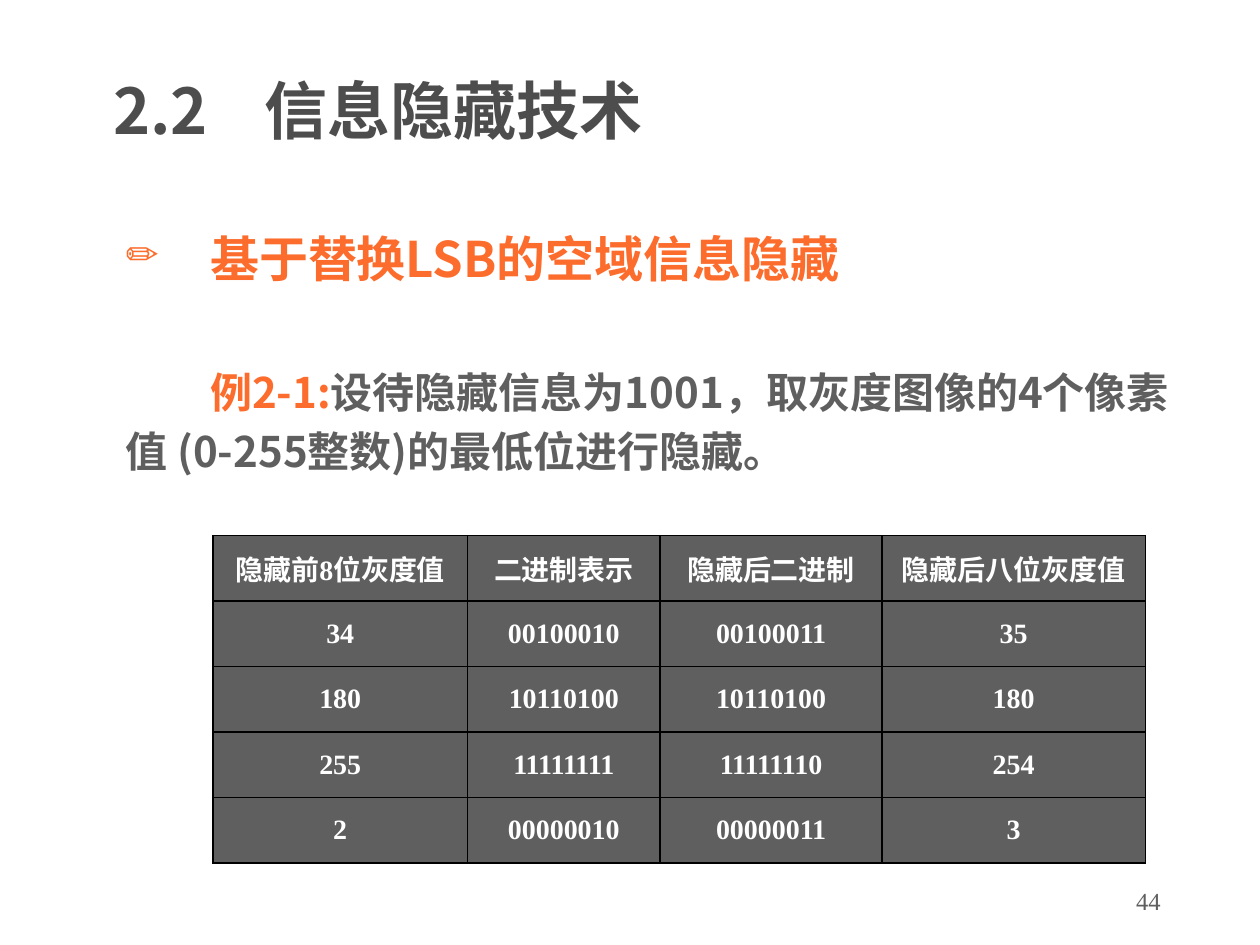
from dataclasses import dataclass

from lxml import etree
from pptx import Presentation
from pptx.dml.color import RGBColor
from pptx.enum.text import MSO_ANCHOR, PP_ALIGN
from pptx.oxml.ns import qn
from pptx.util import Inches, Pt

MIDDLE = MSO_ANCHOR.MIDDLE
CENTER = PP_ALIGN.CENTER
RIGHT = PP_ALIGN.RIGHT

SANS = "Noto Sans CJK SC"
SERIF = "Times New Roman"
ORANGE = "FC6C2C"
GRAY = "5F5F5F"
DARK = "4D4D4D"
WHITE = "FFFFFF"
BLACK = "000000"


@dataclass
class Style:
    size: float
    color: str
    face: str = SANS
    bold: bool = True


@dataclass
class Box:
    left: float
    top: float
    width: float
    height: float


HEADS = ["隐藏前8位灰度值", "二进制表示", "隐藏后二进制", "隐藏后八位灰度值"]
PIXELS = [(34, 35), (180, 180), (255, 254), (2, 3)]
WIDTHS = [2.02, 1.53, 1.76, 2.09]
ROW = 0.52


def paint(hue: str) -> RGBColor:
    return RGBColor.from_string(hue)


def add_tag(host, tag: str, **attrs: str):
    return etree.SubElement(host, qn(tag), attrs)


def format_run(run, style: Style) -> None:
    font = run.font
    font.size = Pt(style.size)
    font.bold = style.bold
    font.color.rgb = paint(style.color)
    font.name = style.face
    add_tag(run.font._element, "a:ea", typeface=SANS)


def add_run(para, text: str, style: Style) -> None:
    run = para.add_run()
    run.text = text
    format_run(run, style)


def add_box(slide, box: Box):
    shape = slide.shapes.add_textbox(
        Inches(box.left), Inches(box.top), Inches(box.width), Inches(box.height))
    shape.text_frame.word_wrap = True
    return shape.text_frame


def set_indent(para, left: float, first: float):
    props = para._p.get_or_add_pPr()
    props.set("marL", str(Inches(left)))
    props.set("indent", str(Inches(first)))
    return props


def add_title(slide) -> None:
    frame = add_box(slide, Box(0.8, 0.4, 8.52, 0.94))
    frame.vertical_anchor = MIDDLE
    para = frame.paragraphs[0]
    tabs = add_tag(para._p.get_or_add_pPr(), "a:tabLst")
    add_tag(tabs, "a:tab", pos=str(Inches(1.2)), algn="l")
    add_run(para, "2.2\t信息隐藏技术", Style(36, DARK))


def add_body(slide) -> None:
    frame = add_box(slide, Box(0.9, 1.82, 8.5, 2.4))
    topic = frame.paragraphs[0]
    props = set_indent(topic, 0.67, -0.67)
    hue = add_tag(props, "a:buClr")
    add_tag(hue, "a:srgbClr", val=ORANGE)
    add_tag(props, "a:buSzPct", val="80000")
    add_tag(props, "a:buChar", char="✏")
    topic.line_spacing = 0.9
    add_run(topic, "基于替换LSB的空域信息隐藏", Style(28, ORANGE))

    sample = frame.add_paragraph()
    set_indent(sample, 0, 0.67)
    sample.line_spacing = 1.17
    sample.space_before = Pt(40)
    add_run(sample, "例2-1:", Style(24, ORANGE))
    add_run(sample, "设待隐藏信息为1001，取灰度图像的4个像素值 (0-255整数)的最低位进行隐藏。",
            Style(24, GRAY))


def add_edges(cell) -> None:
    props = cell._tc.get_or_add_tcPr()
    for spot, side in enumerate(("a:lnL", "a:lnR", "a:lnT", "a:lnB")):
        line = etree.Element(qn(side), {"w": str(Pt(1))})
        fill = add_tag(line, "a:solidFill")
        add_tag(fill, "a:srgbClr", val=BLACK)
        props.insert(spot, line)


def fill_cell(cell, text: str, style: Style) -> None:
    cell.fill.solid()
    cell.fill.fore_color.rgb = paint(GRAY)
    cell.vertical_anchor = MIDDLE
    add_edges(cell)
    para = cell.text_frame.paragraphs[0]
    para.alignment = CENTER
    add_run(para, text, style)


def add_grid(slide) -> None:
    rows = [HEADS] + [
        [str(old), f"{old:08b}", f"{new:08b}", str(new)] for old, new in PIXELS]
    table = slide.shapes.add_table(
        len(rows), len(HEADS), Inches(1.69), Inches(4.25),
        Inches(sum(WIDTHS)), Inches(ROW * len(rows))).table
    for col, width in zip(table.columns, WIDTHS):
        col.width = Inches(width)
    style = Style(16, WHITE, SERIF)
    for i, row in enumerate(rows):
        table.rows[i].height = Inches(ROW)
        for j, text in enumerate(row):
            fill_cell(table.cell(i, j), text, style)


def add_number(slide) -> None:
    frame = add_box(slide, Box(7.06, 6.95, 2.25, 0.4))
    frame.vertical_anchor = MIDDLE
    para = frame.paragraphs[0]
    para.alignment = RIGHT
    add_run(para, "44", Style(14, GRAY, SERIF, False))


def main() -> None:
    deck = Presentation()
    deck.slide_width = Inches(10)
    deck.slide_height = Inches(7.5)
    slide = deck.slides.add_slide(deck.slide_layouts[6])
    add_number(slide)
    add_title(slide)
    add_body(slide)
    add_grid(slide)
    deck.save("out.pptx")


if __name__ == "__main__":
    main()
